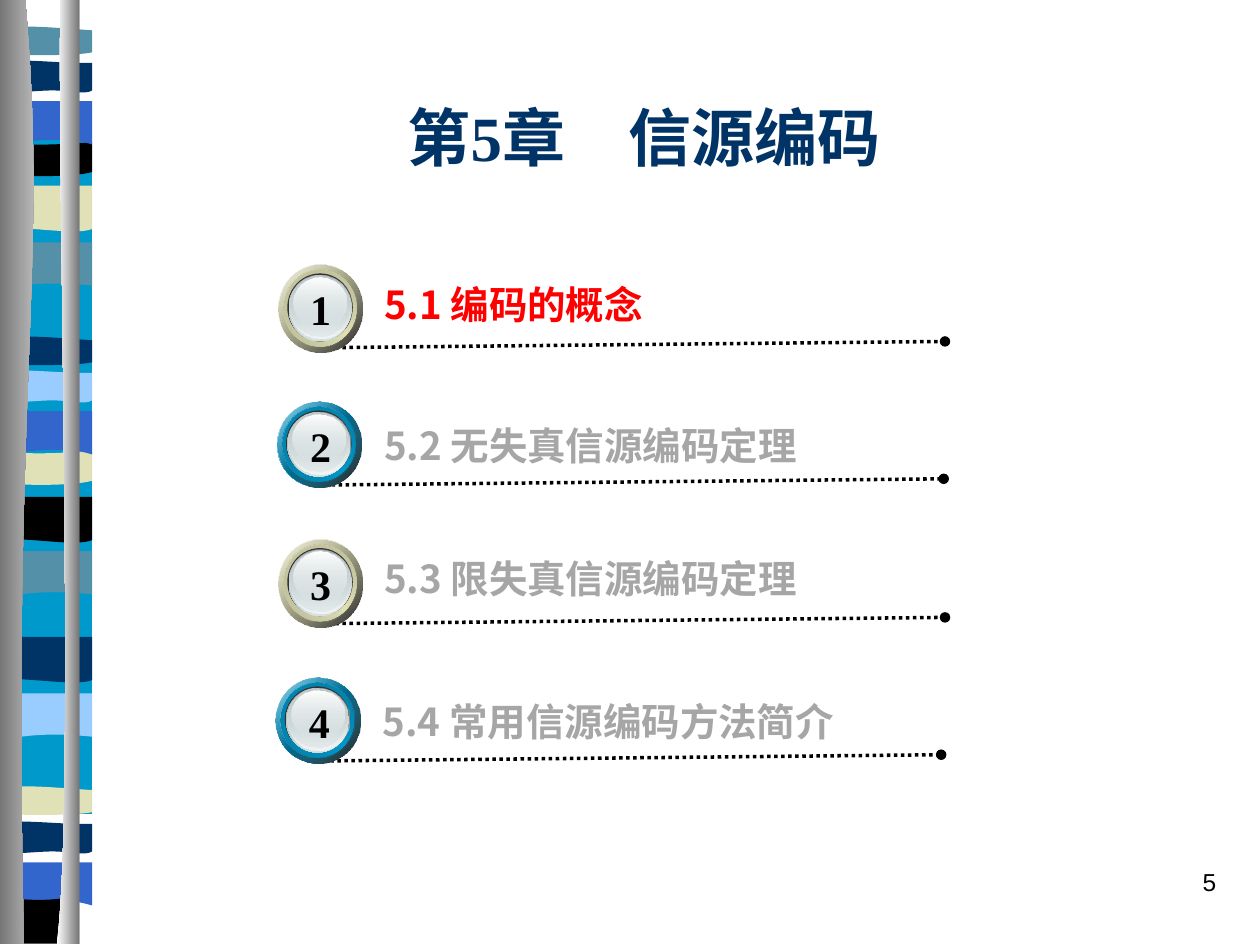
import pptx
import pptx.util
import pptx.dml.color
import pptx.enum.dml
import pptx.enum.shapes
import pptx.enum.text
import pptx.oxml
import pptx.oxml.ns
from lxml import etree

Inches, Pt = pptx.util.Inches, pptx.util.Pt
Align = pptx.enum.text.PP_ALIGN
Anchor = pptx.enum.text.MSO_ANCHOR
SANS, SERIF = "Noto Sans CJK SC", "Times New Roman"

HUES = {
    "sky": "0099CC", "teal": "5490A8", "cream": "E1E1B7", "black": "000000",
    "blue": "3366CC", "navy": "003366", "pale": "99CCFF", "red": "FF0000",
    "gray": "A6A6A6", "rim": "333333",
}

# Band outlines: height, then points (x, y) or curves (x1, y1, x2, y2, x, y).
FORMS = {
    "wave": (0.55, [(0.62, 0), (0.62, 0.47), (0.21, 0.39, 0.13, 0.55, 0.03, 0.47), (0.03, 0)]),
    "slope": (0.55, [(0.62, 0), (0.62, 0.47), (0.52, 0.55, 0.21, 0.42, 0.03, 0.47), (0.03, 0)]),
    "lens": (0.33, [(0.62, 0.05), (0.62, 0.29), (0.52, 0.33, 0.13, 0.33, 0.03, 0.29),
                    (0.03, 0.05), (0.07, 0, 0.16, 0.01, 0.26, 0.01),
                    (0.35, 0.01, 0.54, 0.04, 0.62, 0.05)]),
    "bowl": (0.38, [(0.62, 0), (0.62, 0.32), (0.52, 0.38, 0.13, 0.38, 0.03, 0.32),
                    (0.03, 0), (0.39, 0.05, 0.49, 0, 0.62, 0)]),
    "arch": (0.47, [(0.62, 0), (0.62, 0.47), (0.53, 0.42, 0.49, 0.42, 0.39, 0.42),
                    (0.29, 0.42, 0.12, 0.47, 0.03, 0.47), (0.03, 0)]),
    "swell": (0.41, [(0.62, 0.06), (0.62, 0.36), (0.58, 0.41, 0.49, 0.36, 0.39, 0.36),
                     (0.29, 0.36, 0.09, 0.41, 0.03, 0.36), (0.03, 0.06),
                     (0.11, 0, 0.43, 0.06, 0.53, 0.06), (0.62, 0.06)]),
    "base": (7.48, [(0.62, 0), (0.62, 7.48), (0.03, 7.48), (0.03, 0)]),
}
BANDS = [
    ("base", -0.01, "sky"),
    ("wave", 1.85, "teal"), ("slope", 1.4, "cream"), ("lens", 0.16, "teal"),
    ("bowl", 1.08, "black"), ("arch", 0.74, "blue"), ("swell", 0.4, "navy"),
    ("wave", 4.3, "teal"), ("slope", 3.87, "black"), ("lens", 2.62, "navy"),
    ("bowl", 3.53, "cream"), ("arch", 3.2, "blue"), ("swell", 2.86, "pale"),
    ("wave", 5.43, "pale"), ("slope", 4.98, "navy"), ("lens", 6.19, "cream"),
    ("arch", 6.78, "blue"), ("swell", 6.44, "navy"),
]
FOOT = [(0.61, 7.12), (0.61, 7.49), (0.03, 7.49), (0.02, 7.12),
        (0.39, 7.17, 0.49, 7.12, 0.61, 7.12)]
POLES = [
    ([(0.2, 0), (0.39, 2.16, 0.09, 2.96, 0.19, 7.49), (0, 7.49), (0, 0)],
     [(0, "767676"), (100, "D6D6D6")]),
    ([(0.48, 0), (0.45, 1.25, 0.6, 6.46, 0.45, 7.49), (0.63, 7.49), (0.63, 0)],
     [(0, "FFFFFF"), (100, "767676")]),
]

# Button layers: left, top, width, height, angle, stops (place, colour, opacity).
LAYERS = [
    (0, 0, 0.67, 0.7, 45, [(0, "FFFFFF"), (50, "main"), (100, "FFFFFF")]),
    (0, 0, 0.67, 0.7, 45, [(0, "main", 32), (100, "000000", 90)]),
    (0.04, 0.04, 0.58, 0.61, 315, [(0, "dark"), (50, "main"), (100, "dark")]),
    (0.04, 0.04, 0.58, 0.61, 45, [(0, "mid"), (100, "main", 0)]),
    (0.07, 0.07, 0.52, 0.54, 0, None),
    (0.08, 0.08, 0.5, 0.53, 90, [(0, "99A1A2"), (100, "D6E1E2")]),
    (0.09, 0.08, 0.49, 0.51, 90, [(0, "D6E1E2", 0), (100, "F2F5F5")]),
    (0.09, 0.09, 0.47, 0.48, 90, [(0, "C1CBCC"), (100, "D6E1E2", 48)]),
    (0.12, 0.1, 0.42, 0.39, 90, [(0, "FFFFFF"), (100, "D6E1E2", 38)]),
]
TAN = {"main": "E1E1B7", "dark": "ACAC8C", "mid": "B9B996", "tall": 0.7, "gap": 0.15}
AQUA = {"main": "0099CC", "dark": "00759C", "mid": "007EA7", "tall": 0.68, "gap": 0.16}

# Title, colour, text left and top, button left and top, tones, line start and end.
ITEMS = [
    ("5.1 编码的概念", "red", 2.95, 2.18, 2.21, 2.1, TAN, (2.55, 2.76), (7.5, 2.71)),
    ("5.2 无失真信源编码定理", "gray", 2.95, 3.3, 2.2, 3.19, AQUA, (2.52, 3.85), (7.49, 3.8)),
    ("5.3 限失真信源编码定理", "gray", 2.95, 4.36, 2.21, 4.28, TAN, (2.55, 4.95), (7.5, 4.9)),
    ("5.4 常用信源编码方法简介", "gray", 2.94, 5.49, 2.19, 5.38, AQUA, (2.51, 6.04), (7.47, 5.99)),
]


def rgb(name):
    return pptx.dml.color.RGBColor.from_string(HUES[name])


def blend(shape, stops, angle, tones={}):
    """Fill with a linear gradient, angle clockwise in degrees."""
    shape.fill.background()
    old = shape._element.spPr.find(pptx.oxml.ns.qn("a:noFill"))
    marks = ""
    for place, hue, *clear in stops:
        alpha = f'<a:alpha val="{clear[0] * 1000}"/>' if clear else ""
        marks += (f'<a:gs pos="{place * 1000}"><a:srgbClr val="{tones.get(hue, hue)}">'
                  f'{alpha}</a:srgbClr></a:gs>')
    new = pptx.oxml.parse_xml(
        f'<a:gradFill {pptx.oxml.ns.nsdecls("a")} rotWithShape="1"><a:gsLst>{marks}</a:gsLst>'
        f'<a:lin ang="{angle * 60000}" scaled="0"/></a:gradFill>')
    old.getparent().replace(old, new)


def solid(shape, name):
    shape.fill.solid()
    shape.fill.fore_color.rgb = rgb(name)


def outline(group, steps):
    """Draw a closed outline; each six-number step becomes one Bezier curve."""
    dots = [(Inches(s[i]), Inches(s[i + 1])) for s in steps for i in range(0, len(s), 2)]
    pen = group.shapes.build_freeform(*dots[0])
    pen.add_line_segments(dots[1:], close=True)
    shape = pen.convert_to_shape()
    qn = pptx.oxml.ns.qn
    legs = iter(list(shape._element.iter(qn("a:lnTo"))))
    for step in steps[1:]:
        leg = next(legs)
        if len(step) == 6:
            curve = etree.Element(qn("a:cubicBezTo"))
            leg.addprevious(curve)
            for part in (leg, next(legs), next(legs)):
                curve.append(part[0])
                part.getparent().remove(part)
    shape.shadow.inherit = False
    shape.line.fill.background()
    return shape


def write(home, text, place, size, font, hue, bold=True, align=Align.LEFT,
          anchor=Anchor.TOP, wrap=True):
    frame = home.shapes.add_textbox(*map(Inches, place)).text_frame
    frame.word_wrap, frame.vertical_anchor = wrap, anchor
    para = frame.paragraphs[0]
    para.text, para.alignment = text, align
    face = para.font
    face.size, face.bold, face.name = Pt(size), bold, font
    face.color.rgb = rgb(hue)
    east = etree.SubElement(face._element, pptx.oxml.ns.qn("a:ea"))
    east.set("typeface", SANS)


def border(slide):
    group = slide.shapes.add_group_shape()
    wide, flat = 1.37, 0.73
    for form, top, hue in BANDS:
        tall, steps = FORMS[form]
        spread = [tuple(top + tall / 2 + (v - tall / 2) * flat if i % 2
                        else 0.32 + (v - 0.32) * wide for i, v in enumerate(step))
                  for step in steps]
        solid(outline(group, spread), hue)
    solid(outline(group, FOOT), "black")
    for steps, stops in POLES:
        blend(outline(group, steps), stops, 0)


def leader(slide, start, end):
    line = slide.shapes.add_connector(
        pptx.enum.shapes.MSO_CONNECTOR.STRAIGHT, *map(Inches, start + end))
    line.line.color.rgb = rgb("black")
    line.line.width = Pt(2)
    line.line.dash_style = pptx.enum.dml.MSO_LINE.ROUND_DOT
    tip = etree.SubElement(line.line._get_or_add_ln(), pptx.oxml.ns.qn("a:tailEnd"))
    tip.set("type", "oval")
    etree.SubElement(line._element.spPr, pptx.oxml.ns.qn("a:effectLst"))


def button(slide, number, left, top, tones):
    group = slide.shapes.add_group_shape()
    ratio = tones["tall"] / 0.7
    for dx, dy, wide, tall, angle, stops in LAYERS:
        disc = group.shapes.add_shape(
            pptx.enum.shapes.MSO_SHAPE.OVAL, Inches(left + dx), Inches(top + dy * ratio),
            Inches(wide), Inches(tall * ratio))
        disc.shadow.inherit = False
        disc.line.fill.background()
        if stops:
            blend(disc, stops, angle, tones)
        else:
            solid(disc, "rim")
    write(group, str(number), (left + tones["gap"], top + 0.1, 0.37, 0.5), 24, SERIF,
          "black", align=Align.CENTER, wrap=False)


def main():
    deck = pptx.Presentation()
    deck.slide_width, deck.slide_height = Inches(10), Inches(7.5)
    slide = deck.slides.add_slide(deck.slide_layouts[6])
    border(slide)
    write(slide, "5", (7.67, 6.83, 2.08, 0.5), 14, "Arial", "black", False, Align.RIGHT)
    write(slide, "第5章　信源编码", (0.86, 0.46, 8.5, 1.25), 36, SERIF, "navy",
          align=Align.CENTER, anchor=Anchor.MIDDLE)
    for number, (text, hue, col, row, left, top, tones, start, end) in enumerate(ITEMS, 1):
        leader(slide, start, end)
        button(slide, number, left, top, tones)
        write(slide, text, (col, row, 4.31, 0.47), 22, SANS, hue)
    deck.save("out.pptx")


if __name__ == "__main__":
    main()
